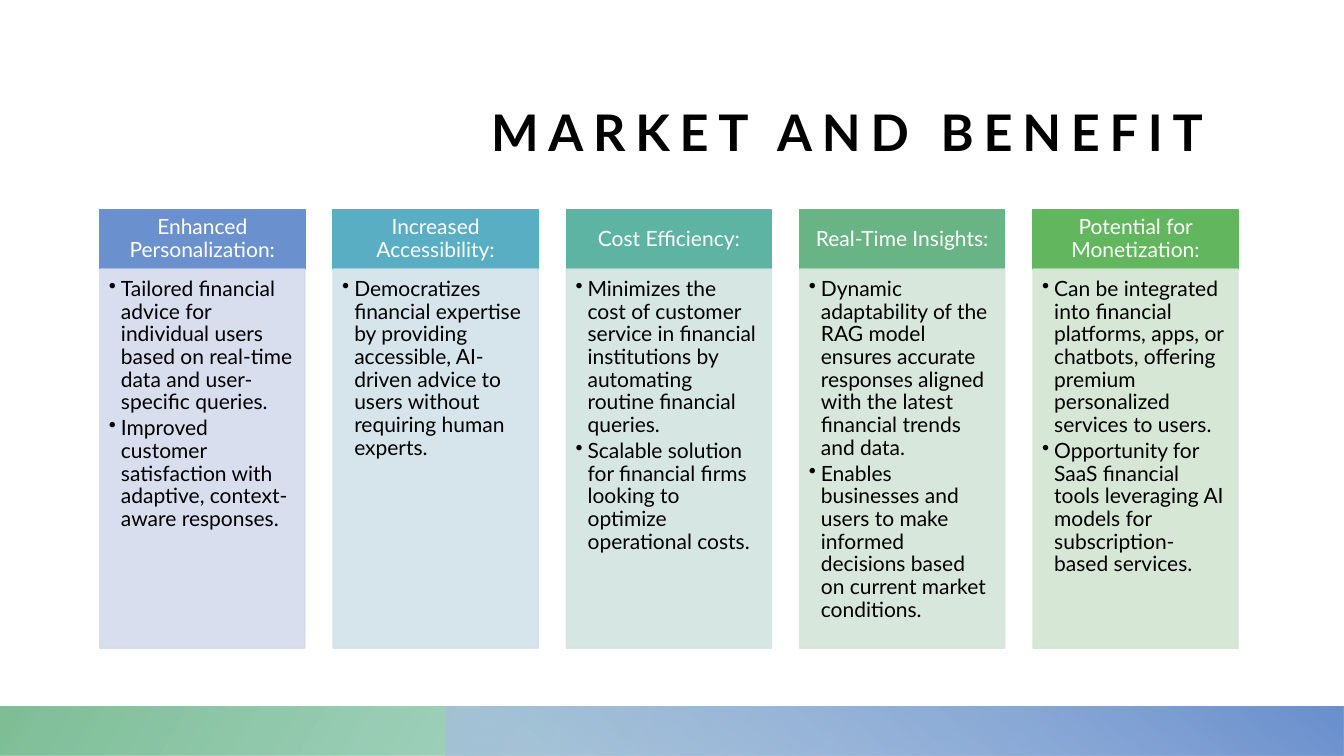
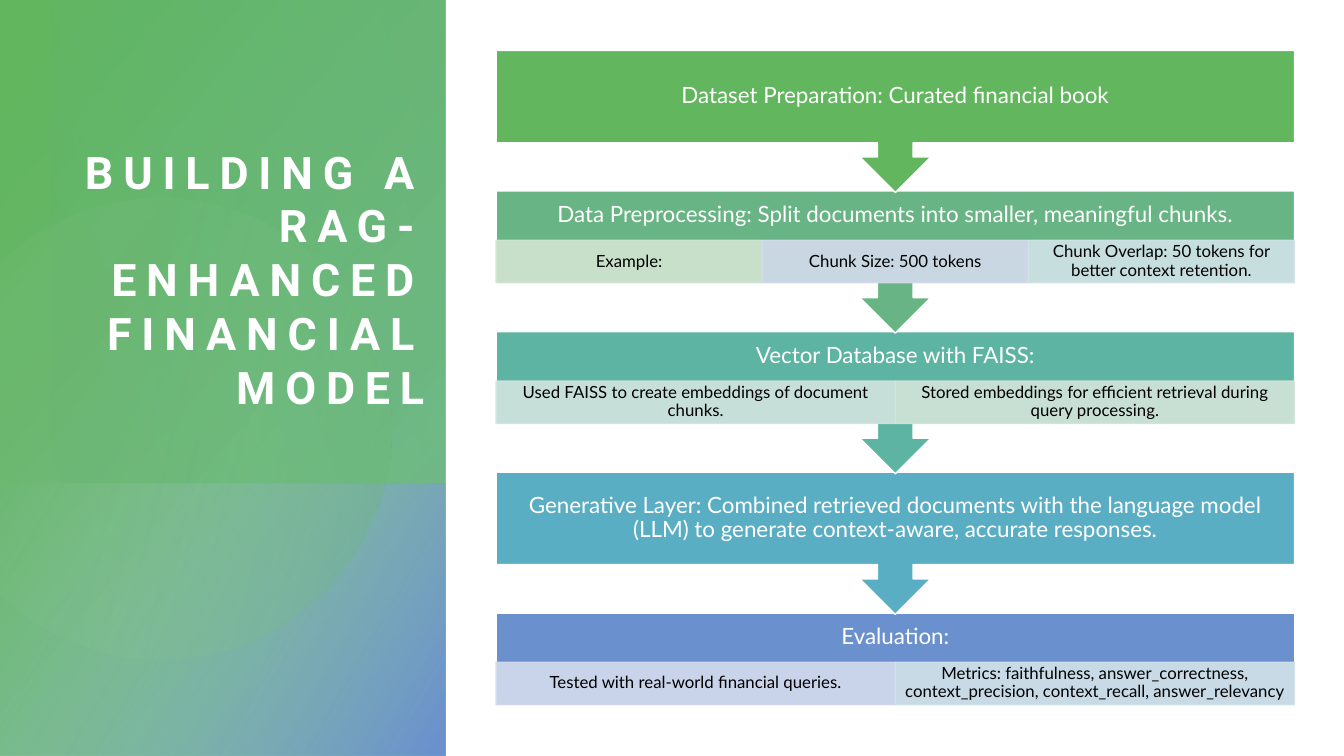
import math
from dataclasses import dataclass

from lxml import etree
from pptx import Presentation, util as u
from pptx.dml.color import RGBColor
from pptx.enum import shapes, text
from pptx.oxml import ns


@dataclass(frozen=True)
class Theme:
    width: float = 13.33
    height: float = 7.5
    body: str = "Lato"
    display: str = "Roboto"
    white: str = "FFFFFF"
    black: str = "000000"
    blue: str = "6A90CE"
    teal: str = "5AAEC3"
    sea: str = "5DB4A2"
    mint: str = "68B484"
    green: str = "62B65E"
    sky: str = "A6BCE2"
    sage: str = "A4D2B5"
    leaf: str = "A1D39E"
    blue_tint: str = "D4DBED"
    teal_tint: str = "D2E3E9"
    sea_tint: str = "D2E5E0"
    mint_tint: str = "D4E5D9"
    green_tint: str = "D3E5D2"
    wide_title: int = 36
    side_title: int = 32
    step: int = 16
    column: int = 15
    detail: int = 12
    tracking: int = 7


T = Theme()


@dataclass(frozen=True)
class Box:
    x: float
    y: float
    w: float
    h: float

    def inches(self):
        return [u.Inches(v) for v in (self.x, self.y, self.w, self.h)]

    def rows(self, top, height):
        """A full-width strip of this box, top measured from its own top."""
        return Box(self.x, self.y + top, self.w, height)

    def columns(self, count, gap=0):
        w = (self.w - gap * (count - 1)) / count
        return [Box(self.x + i * (w + gap), self.y, w, self.h) for i in range(count)]


PAGE = Box(0, 0, T.width, T.height)
SIDE = T.width * 0.3315  # width of the left panel
RECT = shapes.MSO_SHAPE.RECTANGLE


# Shared drawing helpers
def add_color(parent, color, alpha):
    clr = etree.SubElement(parent, ns.qn("a:srgbClr"), val=color)
    if alpha < 100:
        etree.SubElement(clr, ns.qn("a:alpha"), val=str(alpha * 1000))


def set_gradient(sp, angle, stops):
    """Stops are (position, colour, opacity), all in percent; angle is clockwise."""
    sp.shadow.inherit = False
    sp.line.fill.background()
    sp.fill.gradient()
    grad = sp._element.spPr.find(ns.qn("a:gradFill"))
    grad.clear()
    stop_list = etree.SubElement(grad, ns.qn("a:gsLst"))
    for position, color, alpha in stops:
        stop = etree.SubElement(stop_list, ns.qn("a:gs"), pos=str(position * 1000))
        add_color(stop, color, alpha)
    etree.SubElement(grad, ns.qn("a:lin"), ang=str(angle * 60000), scaled="0")


def add_gradient(slide, box, angle, *stops):
    set_gradient(slide.shapes.add_shape(RECT, *box.inches()), angle, stops)


def add_block(slide, box, fill, line, kind=RECT, alpha=100):
    sp = slide.shapes.add_shape(kind, *box.inches())
    sp.shadow.inherit = False
    sp.fill.solid()
    sp.fill.fore_color.rgb = RGBColor.from_string(fill)
    sp.line.color.rgb = RGBColor.from_string(line)
    sp.line.width = u.Pt(1)
    if alpha < 100:
        for clr in sp._element.spPr.iter(ns.qn("a:srgbClr")):
            etree.SubElement(clr, ns.qn("a:alpha"), val=str(alpha * 1000))
    return sp


def set_frame(sp, insets, anchor):
    tf = sp.text_frame
    tf.word_wrap = True
    tf.auto_size = text.MSO_AUTO_SIZE.NONE
    tf.vertical_anchor = anchor
    tf.margin_left, tf.margin_top, tf.margin_right, tf.margin_bottom = map(u.Inches, insets)
    return tf


def set_font(p, size, color, name=T.body, bold=False):
    p.font.size = u.Pt(size)
    p.font.name = name
    p.font.bold = bold
    p.font.color.rgb = RGBColor.from_string(color)


def write(sp, lines, size, color, insets, bullets=False):
    anchor = text.MSO_ANCHOR.TOP if bullets else text.MSO_ANCHOR.MIDDLE
    tf = set_frame(sp, insets, anchor)
    for i, line in enumerate(lines):
        p = tf.add_paragraph() if i else tf.paragraphs[0]
        p.text = line
        p.line_spacing = 0.9
        p.alignment = text.PP_ALIGN.LEFT if bullets else text.PP_ALIGN.CENTER
        set_font(p, size, color)
        if bullets:
            p.space_after = u.Pt(size * 0.15)
            props = p._p.get_or_add_pPr()
            props.set("marL", str(u.Inches(0.12)))
            props.set("indent", str(u.Inches(-0.12)))
            bullet = etree.Element(ns.qn("a:buChar"), char="•")
            props.find(ns.qn("a:defRPr")).addprevious(bullet)


def set_title(slide, words, box, size, color, name):
    title = slide.shapes.title
    title.left, title.top, title.width, title.height = box.inches()
    tf = set_frame(title, (0, 0, 0, 0), text.MSO_ANCHOR.BOTTOM)
    p = tf.paragraphs[0]
    r = p.add_run()
    r.text = words
    p.alignment = text.PP_ALIGN.RIGHT
    set_font(p, size, color, name, True)
    r.font._element.set("spc", str(T.tracking * 100))
    title._element.getparent().append(title._element)  # bring to front


# Regions
def footer_band(slide, box):
    add_gradient(slide, box, 210, (14, T.sea, 28), (100, T.mint, 85))
    right = Box(box.x + SIDE, box.y, box.w - SIDE, box.h)
    add_gradient(slide, right, 310, (9, T.sky, 68), (99, T.blue, 100))


def side_panel(slide, box):
    add_gradient(slide, box, 40, (8, T.green, 100), (100, T.mint, 89))
    split = box.h * 0.64
    add_gradient(slide, box.rows(split, box.h - split), 30,
                 (0, T.sage, 0), (99, T.blue, 100))

    # Circle cut off by the left edge
    cx, cy, radius = box.w * 0.36, box.h * 0.567, box.w * 0.518
    limit = math.acos(-cx / radius)
    angles = [limit * (i / 40 - 1) for i in range(81)]
    points = [(u.Inches(box.x + cx + radius * math.cos(a)),
               u.Inches(box.y + cy + radius * math.sin(a))) for a in angles]
    builder = slide.shapes.build_freeform(*points[0])
    builder.add_line_segments(points[1:], close=True)
    set_gradient(builder.convert_to_shape(), 14, [(36, T.leaf, 6), (100, T.green, 26)])

    glow = Box(box.x + 0.5, box.y, box.w - 0.5, split)
    add_gradient(slide, glow, 160, (0, T.mint, 29), (100, T.sea, 0))


def benefit_columns(slide, box, benefits):
    head = 0.59
    for col, (heading, color, tint, points) in zip(box.columns(len(benefits), 0.28), benefits):
        sp = add_block(slide, col.rows(0, head), color, color)
        write(sp, [heading], T.column, T.white, (0.12, 0.07, 0.12, 0.07))
        sp = add_block(slide, col.rows(head, col.h - head), tint, tint, alpha=90)
        write(sp, points, T.column, T.black, (0.09, 0.09, 0.12, 0.13), bullets=True)


def step_flow(slide, box, steps):
    body, detail_top, detail_h = 0.92, 0.49, 0.42
    pitch = (box.h - body) / (len(steps) - 1)
    # Last step first, so each arrow lies over the step below it
    for i in reversed(range(len(steps))):
        heading, color, details = steps[i]
        last = i == len(steps) - 1
        kind = RECT if last else shapes.MSO_SHAPE.DOWN_ARROW_CALLOUT
        row = box.rows(i * pitch, body if last else 1.41)
        sp = add_block(slide, row, color, T.white, kind)
        write(sp, [heading], T.step, T.white,
              (0.12, 0, 0.12, body - detail_top if details else 0))
        if not details:
            continue
        cells = row.rows(detail_top, detail_h).columns(len(details))
        for cell, (words, tint) in zip(cells, details):
            sp = add_block(slide, cell, tint, tint, alpha=90)
            write(sp, [words], T.detail, T.black, (0.09, 0.02, 0.09, 0.02))


# Content
BENEFITS = [
    ("Enhanced Personalization:", T.blue, T.blue_tint, [
        "Tailored financial advice for individual users based on real-time data "
        "and user-specific queries.",
        "Improved customer satisfaction with adaptive, context-aware responses."]),
    ("Increased Accessibility:", T.teal, T.teal_tint, [
        "Democratizes financial expertise by providing accessible, AI-driven advice "
        "to users without requiring human experts."]),
    ("Cost Efficiency:", T.sea, T.sea_tint, [
        "Minimizes the cost of customer service in financial institutions by "
        "automating routine financial queries.",
        "Scalable solution for financial firms looking to optimize operational costs."]),
    ("Real-Time Insights:", T.mint, T.mint_tint, [
        "Dynamic adaptability of the RAG model ensures accurate responses aligned "
        "with the latest financial trends and data.",
        "Enables businesses and users to make informed decisions based on current "
        "market conditions."]),
    ("Potential for Monetization:", T.green, T.green_tint, [
        "Can be integrated into financial platforms, apps, or chatbots, offering "
        "premium personalized services to users.",
        "Opportunity for SaaS financial tools leveraging AI models for "
        "subscription-based services."]),
]

STEPS = [
    ("Dataset Preparation: Curated financial book", T.green, []),
    ("Data Preprocessing: Split documents into smaller, meaningful chunks.", T.mint, [
        ("Example:", T.green_tint),
        ("Chunk Size: 500 tokens", T.blue_tint),
        ("Chunk Overlap: 50 tokens for better context retention.", T.teal_tint)]),
    ("Vector Database with FAISS:", T.sea, [
        ("Used FAISS to create embeddings of document chunks.", T.sea_tint),
        ("Stored embeddings for efficient retrieval during query processing.", T.mint_tint)]),
    ("Generative Layer: Combined retrieved documents with the language model (LLM) "
     "to generate context-aware, accurate responses.", T.teal, []),
    ("Evaluation:", T.blue, [
        ("Tested with real-world financial queries.", T.blue_tint),
        ("Metrics: faithfulness, answer_correctness, context_precision, "
         "context_recall, answer_relevancy", T.teal_tint)]),
]


# Slides
def market_slide(slide):
    footer_band(slide, PAGE.rows(7.01, 0.49))
    benefit_columns(slide, Box(0.99, 2.08, 11.29, 4.35), BENEFITS)
    set_title(slide, "MARKET AND BENEFIT", Box(1.5, 0.5, 10.44, 1.1),
              T.wide_title, T.black, T.body)


def model_slide(slide):
    side_panel(slide, Box(0, 0, SIDE, PAGE.h))
    step_flow(slide, Box(4.92, 0.5, 7.92, 6.5), STEPS)
    set_title(slide, "BUILDING A RAG-ENHANCED FINANCIAL MODEL", Box(0.5, 0.95, 3.71, 3.15),
              T.side_title, T.white, T.display)


def main():
    prs = Presentation()
    prs.slide_width, prs.slide_height = u.Inches(T.width), u.Inches(T.height)
    title_only = prs.slide_layouts[5]
    for build in (market_slide, model_slide):
        build(prs.slides.add_slide(title_only))
    prs.save("out.pptx")


if __name__ == "__main__":
    main()
